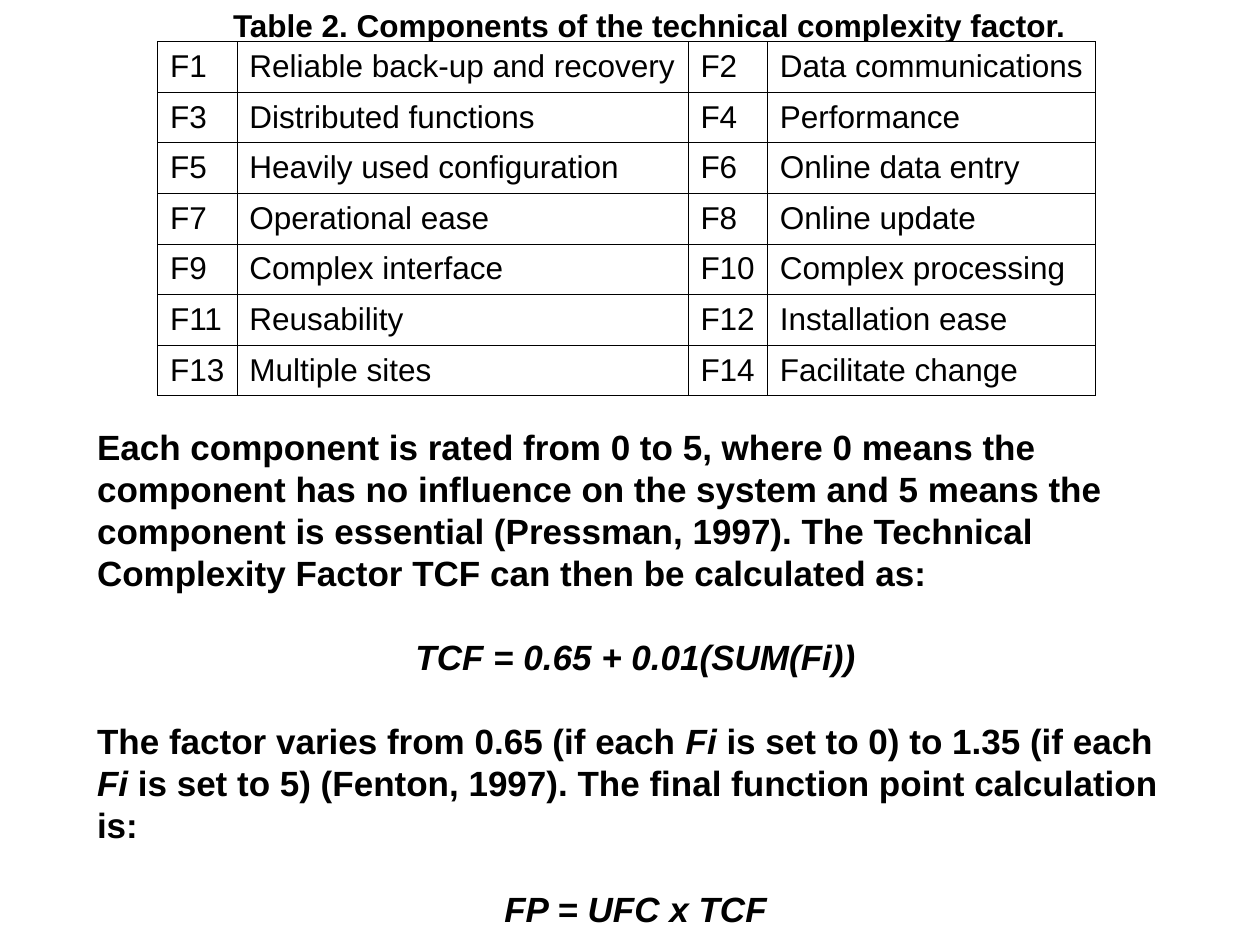
import pptx
import pptx.dml.color
import pptx.enum.text
import pptx.oxml
import pptx.oxml.ns
import pptx.util
from pptx.util import Inches

COLOURS = {"paper": "FFFFFF", "ink": "000000"}
FONT = "Arial"
BODY_LINE = 24
COLUMN_WIDTHS = (0.63, 3.58, 0.63, 2.6)
COMPONENTS = (
    "Reliable back-up and recovery", "Data communications",
    "Distributed functions", "Performance",
    "Heavily used configuration", "Online data entry",
    "Operational ease", "Online update",
    "Complex interface", "Complex processing",
    "Reusability", "Installation ease",
    "Multiple sites", "Facilitate change",
)
# Each paragraph is a list of (text, italic) spans.
RATING = [("Each component is rated from 0 to 5, where 0 means the component has no "
           "influence on the system and 5 means the component is essential "
           "(Pressman, 1997). The Technical Complexity Factor TCF can then be "
           "calculated as:", False)]
TCF_FORMULA = [("TCF = 0.65 + 0.01(SUM(Fi))", True)]
RANGE = [("The factor varies from 0.65 (if each ", False), ("Fi", True),
         (" is set to 0) to 1.35 (if each ", False), ("Fi", True),
         (" is set to 5) (Fenton, 1997). The final function point calculation is:", False)]
FP_FORMULA = [("FP = UFC x TCF", True)]


def colour(name):
    return pptx.dml.color.RGBColor.from_string(COLOURS[name])


def style_paragraph(para, size, bold=False, centred=False):
    para.font.name = FONT
    para.font.size = pptx.util.Pt(size)
    para.font.bold = bold
    para.font.color.rgb = colour("ink")
    align = pptx.enum.text.PP_ALIGN
    para.alignment = align.CENTER if centred else align.LEFT


def place(box, left, top, width, height, wrap):
    box.left, box.top = Inches(left), Inches(top)
    box.width, box.height = Inches(width), Inches(height)
    frame = box.text_frame
    frame.word_wrap = wrap
    frame.auto_size = pptx.enum.text.MSO_AUTO_SIZE.NONE
    frame.vertical_anchor = pptx.enum.text.MSO_ANCHOR.MIDDLE
    return frame


def fill_caption(box):
    frame = place(box, 1.75, 0, 6.84, 0.4, wrap=False)
    frame.text = "Table 2. Components of the technical complexity factor."
    style_paragraph(frame.paragraphs[0], 18, bold=True)


def remove_bullet(para):
    properties = para._p.get_or_add_pPr()
    properties.set("marL", "0")
    properties.set("indent", "0")
    properties.insert_element_before(
        pptx.oxml.parse_xml(f'<a:buNone {pptx.oxml.ns.nsdecls("a")}/>'),
        "a:tabLst", "a:defRPr", "a:extLst")


def fill_body(box):
    frame = place(box, 0.67, 3.33, 8.75, 4.1, wrap=True)
    for index, spans in enumerate((RATING, TCF_FORMULA, RANGE, FP_FORMULA)):
        para = frame.add_paragraph() if index else frame.paragraphs[0]
        style_paragraph(para, 20, bold=True, centred=spans in (TCF_FORMULA, FP_FORMULA))
        para.line_spacing = pptx.util.Pt(BODY_LINE)
        para.space_before = pptx.util.Pt(BODY_LINE if index else 0)
        remove_bullet(para)
        for text, italic in spans:
            span = para.add_run()
            span.text = text
            span.font.italic = italic


def add_borders(cell, width=0.34):
    properties = cell._tc.get_or_add_tcPr()
    for position, side in enumerate(("lnL", "lnR", "lnT", "lnB")):
        properties.insert(position, pptx.oxml.parse_xml(
            f'<a:{side} {pptx.oxml.ns.nsdecls("a")} w="{pptx.util.Pt(width)}">'
            f'<a:solidFill><a:srgbClr val="{COLOURS["ink"]}"/></a:solidFill></a:{side}>'))


def fill_cell(cell, text):
    cell.text = text
    cell.vertical_anchor = pptx.enum.text.MSO_ANCHOR.MIDDLE
    cell.margin_right = Inches(0.05)
    cell.fill.solid()
    cell.fill.fore_color.rgb = colour("paper")
    style_paragraph(cell.text_frame.paragraphs[0], 18)
    add_borders(cell)


def add_component_table(page):
    """Number the components F1, F2, ... two to a row."""
    table = page.shapes.add_table(
        len(COMPONENTS) // 2, len(COLUMN_WIDTHS),
        Inches(1.25), Inches(0.33), Inches(7.44), Inches(2.81)).table
    table.first_row = table.horz_banding = False
    for column, width in zip(table.columns, COLUMN_WIDTHS):
        column.width = Inches(width)
    for index, component in enumerate(COMPONENTS):
        row, pair = divmod(index, 2)
        fill_cell(table.cell(row, 2 * pair), f"F{index + 1}")
        fill_cell(table.cell(row, 2 * pair + 1), component)


def main():
    deck = pptx.Presentation()
    deck.slide_width, deck.slide_height = Inches(10), Inches(7.5)
    page = deck.slides.add_slide(deck.slide_layouts[1])
    fill_caption(page.shapes.title)
    add_component_table(page)
    fill_body(page.placeholders[1])
    deck.save("out.pptx")


if __name__ == "__main__":
    main()
